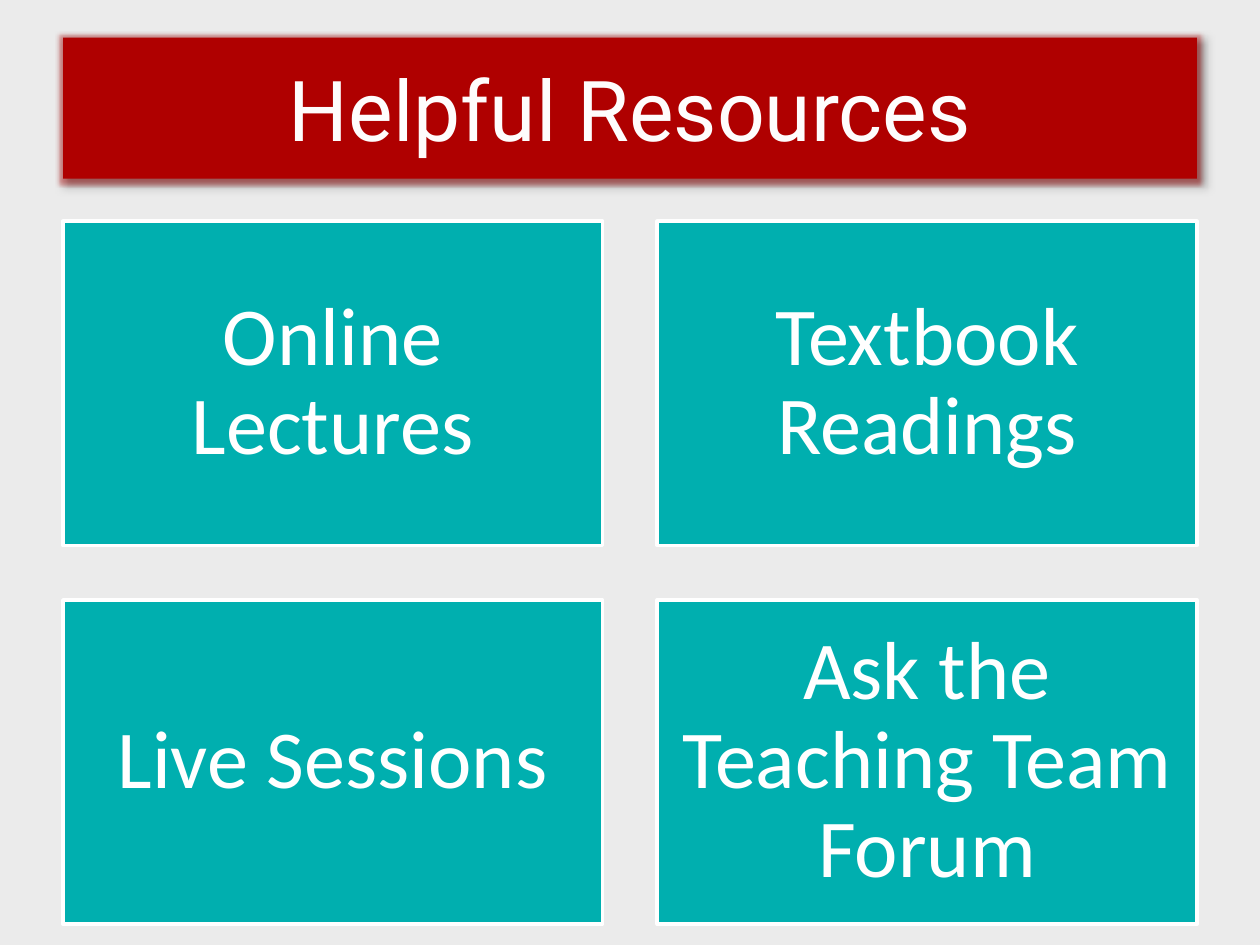
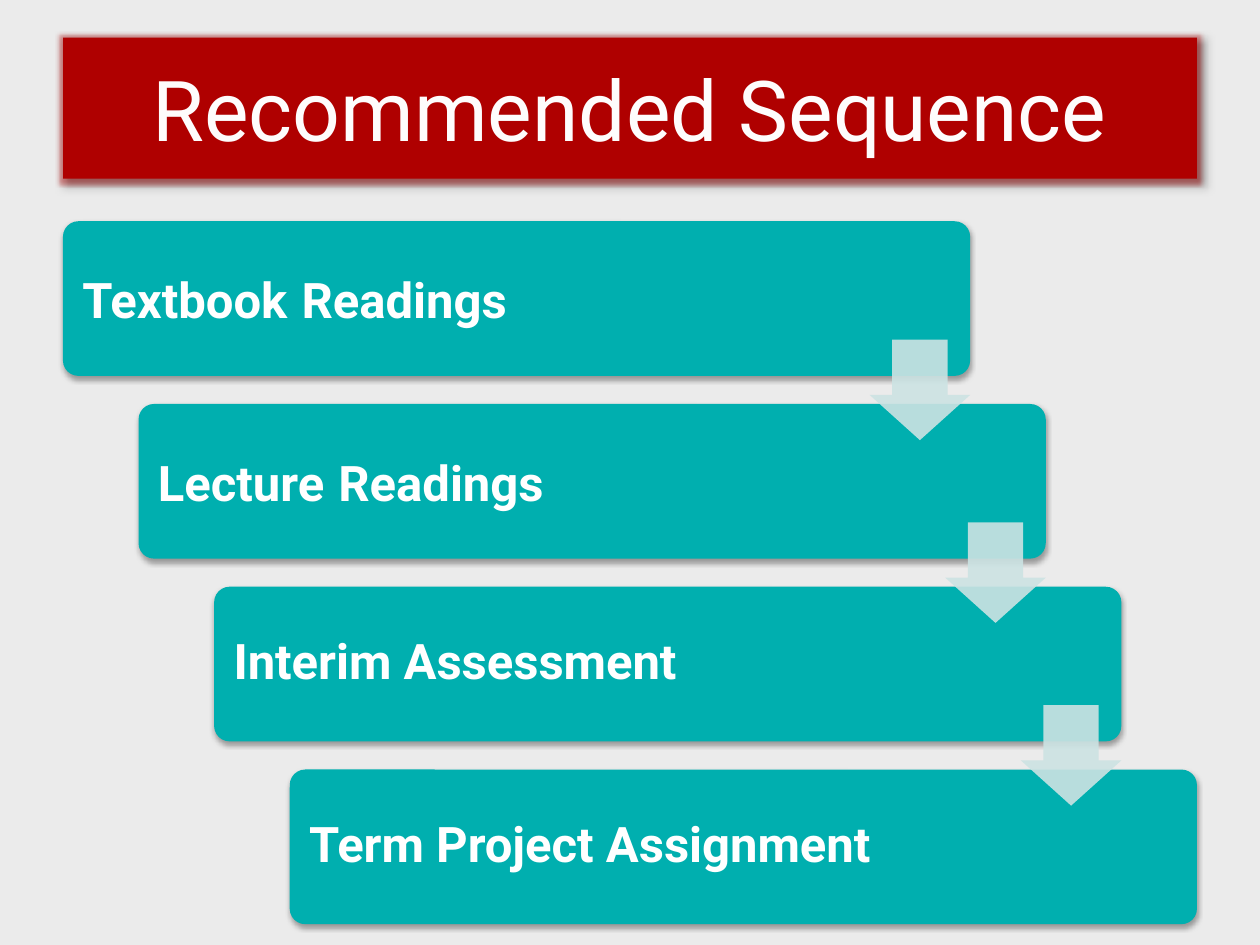
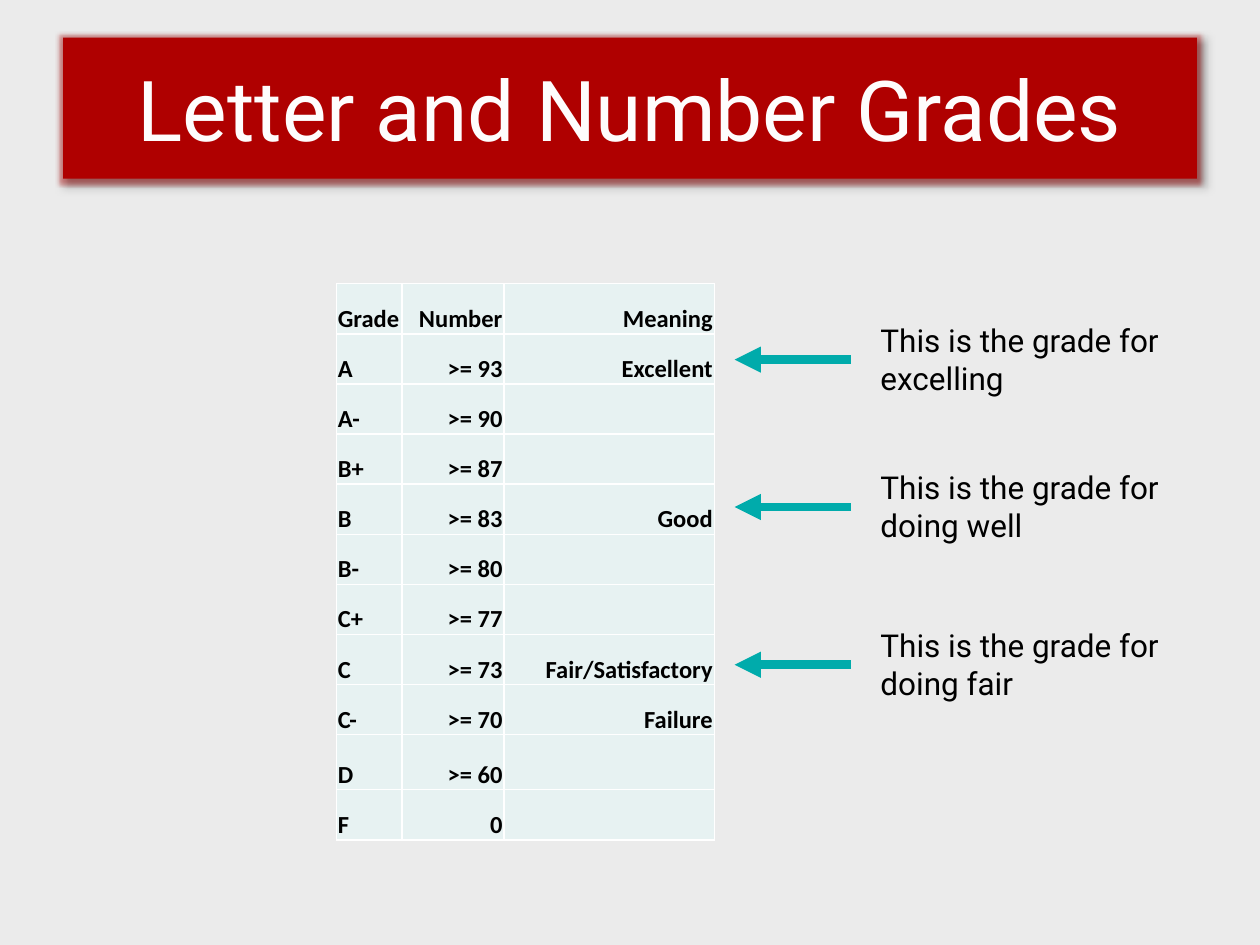
import pptx
import pptx.util
import pptx.dml.color
import pptx.enum.shapes
import pptx.enum.text
import pptx.oxml
import pptx.oxml.ns
from lxml import etree

Cm = pptx.util.Cm
Pt = pptx.util.Pt
SHAPE = pptx.enum.shapes.MSO_SHAPE
ALIGN = pptx.enum.text.PP_ALIGN
ANCHOR = pptx.enum.text.MSO_ANCHOR
qn = pptx.oxml.ns.qn

RED = "AF0000"
TEAL = "00AFAF"
ARROW_TEAL = "00ABAB"
PALE_TEAL = "CCE3E3"
CELL_TEAL = "E7F2F2"
BACKGROUND = "EBEBEB"
TITLE_WHITE = "FEFCFC"
WHITE = "FFFFFF"
BLACK = "000000"

TITLE_BOX = (1.27, 0.76, 22.86, 2.84)
BODY_BOX = (1.27, 4.46, 22.86, 14.17)


def rgb(code):
    return pptx.dml.color.RGBColor.from_string(code)


def paint(target, code):
    target.fill.solid()
    target.fill.fore_color.rgb = rgb(code)


def set_font(font, name, size, color, bold=False):
    font.name = name
    font.size = Pt(size)
    font.color.rgb = rgb(color)
    font.bold = bold


def set_margins(holder, left, top, right, bottom):
    holder.margin_left, holder.margin_top = Cm(left), Cm(top)
    holder.margin_right, holder.margin_bottom = Cm(right), Cm(bottom)


def xml_effect(tag, color, alpha, attributes):
    return (f'<a:{tag} {attributes}><a:srgbClr val="{color}">'
            f'<a:alpha val="{alpha * 1000}"/></a:srgbClr></a:{tag}>')


def shadow(alpha, blur, distance, angle):
    return xml_effect("outerShdw", BLACK, alpha,
                      f'blurRad="{Pt(blur)}" dist="{Pt(distance)}" '
                      f'dir="{angle * 60000}" rotWithShape="0"')


def set_effects(sp, *effects):
    ns = pptx.oxml.ns.nsdecls("a")
    sp._element.spPr.append(pptx.oxml.parse_xml(
        f'<a:effectLst {ns}>{"".join(effects)}</a:effectLst>'))


def add_block(slide, kind, left, top, width, height, color):
    sp = slide.shapes.add_shape(kind, Cm(left), Cm(top), Cm(width), Cm(height))
    paint(sp, color)
    sp.line.fill.background()
    return sp


def add_title_slide(prs, title):
    slide = prs.slides.add_slide(prs.slide_layouts[5])
    sp = slide.shapes.title
    sp.left, sp.top, sp.width, sp.height = map(Cm, TITLE_BOX)
    paint(sp, RED)
    set_effects(sp, xml_effect("glow", RED, 40, f'rad="{Pt(5)}"'),
                shadow(40, 4, 3, 45))
    tf = sp.text_frame
    tf.text = title
    tf.word_wrap = False
    tf.vertical_anchor = ANCHOR.MIDDLE
    p = tf.paragraphs[0]
    p.alignment = ALIGN.CENTER
    set_font(p.font, "Roboto", 48, TITLE_WHITE)
    return slide


def add_resource_grid(slide, box, labels):
    left, top, width, height = box
    gap = 1.1
    card_w, card_h = (width - gap) / 2, (height - gap) / 2
    for i, label in enumerate(labels):
        row, col = divmod(i, 2)
        sp = add_block(slide, SHAPE.RECTANGLE, left + col * (card_w + gap),
                       top + row * (card_h + gap), card_w, card_h, TEAL)
        sp.shadow.inherit = False
        sp.line.color.rgb = rgb(WHITE)
        sp.line.width = Pt(2)
        tf = sp.text_frame
        set_margins(tf, 0.5, 0.5, 0.5, 0.5)
        tf.text = label
        p = tf.paragraphs[0]
        p.alignment = ALIGN.CENTER
        p.line_spacing = 0.9
        set_font(p.font, "Calibri", 47, WHITE)


def add_step_text(sp, parts):
    tf = sp.text_frame
    set_margins(tf, 0.3, 0.3, 0.3, 0.3)
    p = tf.paragraphs[0]
    p.alignment = ALIGN.LEFT
    p.line_spacing = 0.9
    for i, part in enumerate(parts):
        if i:
            r = p.add_run()
            r.text = " "
            set_font(r.font, "Calibri", 36, WHITE)
        r = p.add_run()
        r.text = part
        set_font(r.font, "Roboto", 28, WHITE, True)


def add_sequence(slide, box, steps):
    left, top, width, height = box
    step_w, step_h = width * 0.8, height * 0.22
    last = len(steps) - 1
    dx, dy = (width - step_w) / last, (height - step_h) / last
    for i, parts in enumerate(steps):
        sp = add_block(slide, SHAPE.ROUNDED_RECTANGLE, left + i * dx,
                       top + i * dy, step_w, step_h, TEAL)
        sp.adjustments[0] = 0.1
        set_effects(sp, shadow(35, 3.1, 1.8, 90))
        add_step_text(sp, parts)
    size = step_h * 0.65
    for i in range(last):
        sp = add_block(slide, SHAPE.DOWN_ARROW, left + i * dx + step_w - size,
                       top + i * dy + (dy + step_h - size) / 2,
                       size, size, PALE_TEAL)
        sp.shadow.inherit = False
        sp.adjustments[0], sp.adjustments[1] = 0.55, 0.45
        clr = sp._element.spPr.find(qn("a:solidFill")).find(qn("a:srgbClr"))
        etree.SubElement(clr, qn("a:alpha"), val="90000")


def set_borders(cell, color, width):
    tc_pr = cell._tc.get_or_add_tcPr()
    for side in ("lnL", "lnR", "lnT", "lnB"):
        ln = etree.SubElement(tc_pr, qn(f"a:{side}"), w=str(Pt(width)))
        fill = etree.SubElement(ln, qn("a:solidFill"))
        etree.SubElement(fill, qn("a:srgbClr"), val=color)


def add_grade_table(slide, left, top, grades):
    widths = (1.32, 2.06, 4.24)
    heights = [1.11 if row[0] == "D" else 1.01 for row in grades]
    table = slide.shapes.add_table(
        len(grades), len(widths), Cm(left), Cm(top),
        Cm(sum(widths)), Cm(sum(heights))).table
    table.first_row = table.horz_banding = False
    for column, width in zip(table.columns, widths):
        column.width = Cm(width)
    for r, (values, height) in enumerate(zip(grades, heights)):
        table.rows[r].height = Cm(height)
        for c, value in enumerate(values):
            cell = table.cell(r, c)
            set_borders(cell, WHITE, 1)
            paint(cell, CELL_TEAL)
            set_margins(cell, 0.03, 0.03, 0.03, 0)
            cell.vertical_anchor = ANCHOR.BOTTOM
            cell.text = value
            p = cell.text_frame.paragraphs[0]
            p.alignment = ALIGN.RIGHT if c else ALIGN.LEFT
            set_font(p.font, "Calibri", 14, BLACK, True)


def add_grade_note(slide, left, top, text):
    height, arrow_length, gap = 1.8, 2.34, 0.35
    middle = top + height / 2
    start = left + arrow_length
    line = slide.shapes.add_connector(
        pptx.enum.shapes.MSO_CONNECTOR.STRAIGHT,
        Cm(start), Cm(middle), Cm(left), Cm(middle))
    line.line.color.rgb = rgb(ARROW_TEAL)
    line.line.width = Pt(5)
    etree.SubElement(line.line._get_or_add_ln(), qn("a:tailEnd"),
                     type="triangle")
    set_effects(line)
    tf = slide.shapes.add_textbox(Cm(start + gap), Cm(top),
                                  Cm(6.58), Cm(height)).text_frame
    tf.word_wrap = True
    tf.text = text
    set_font(tf.paragraphs[0].font, "Roboto", 18, BLACK)


def main():
    prs = pptx.Presentation()
    prs.slide_width, prs.slide_height = Cm(25.4), Cm(19.05)
    paint(prs.slide_master.background, BACKGROUND)

    slide = add_title_slide(prs, "Helpful Resources")
    add_resource_grid(slide, BODY_BOX, (
        "Online Lectures", "Textbook Readings",
        "Live Sessions", "Ask the Teaching Team Forum"))

    slide = add_title_slide(prs, "Recommended Sequence")
    add_sequence(slide, BODY_BOX, (
        ("Textbook", "Readings"), ("Lecture", "Readings"),
        ("Interim Assessment",), ("Term Project Assignment",)))

    slide = add_title_slide(prs, "Letter and Number Grades")
    add_grade_table(slide, 6.78, 5.72, (
        ("Grade", "Number", "Meaning"),
        ("A", ">= 93", "Excellent"),
        ("A-", ">= 90", ""),
        ("B+", ">= 87", ""),
        ("B", ">= 83", "Good"),
        ("B-", ">= 80", ""),
        ("C+", ">= 77", ""),
        ("C", ">= 73", "Fair/Satisfactory"),
        ("C-", ">= 70", "Failure"),
        ("D", ">= 60", ""),
        ("F", "0", "")))
    for top, outcome in ((6.35, "excelling"), (9.32, "doing well"),
                         (12.5, "doing fair")):
        add_grade_note(slide, 14.81, top, f"This is the grade for {outcome}")

    prs.save("out.pptx")


if __name__ == "__main__":
    main()
